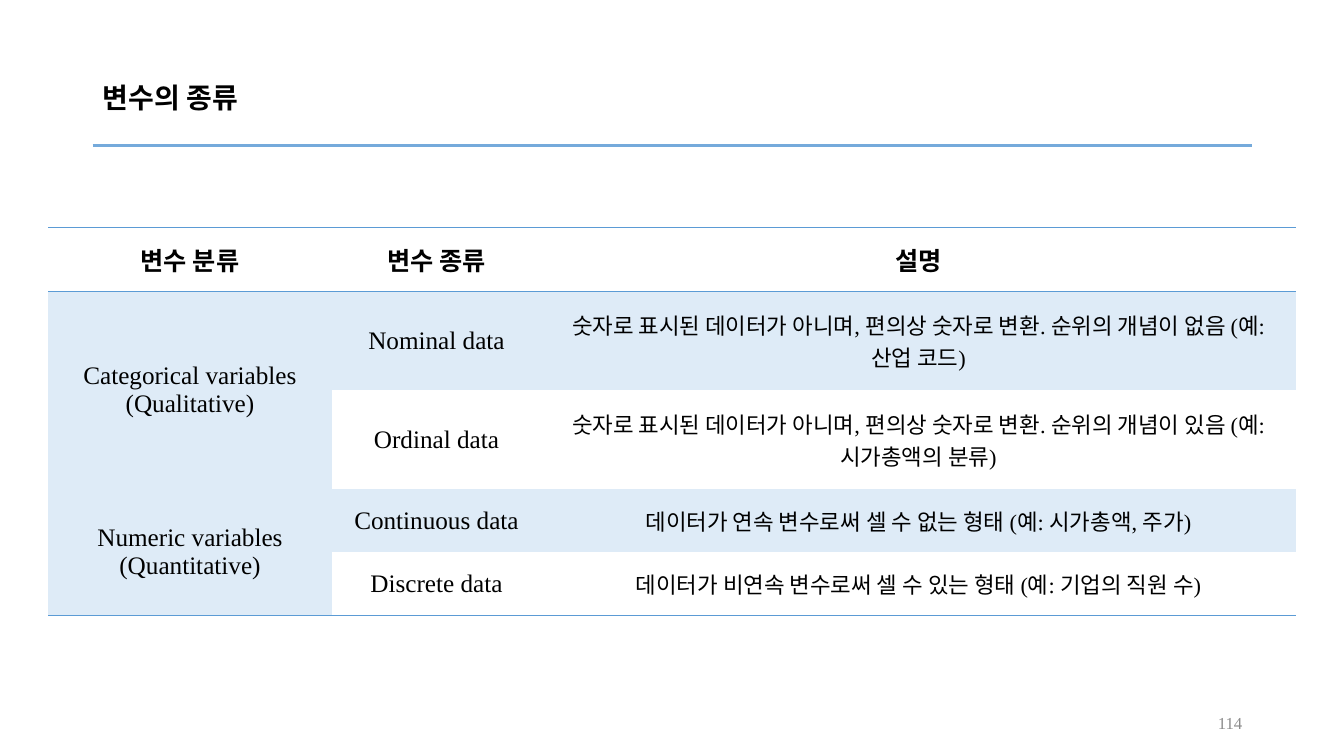
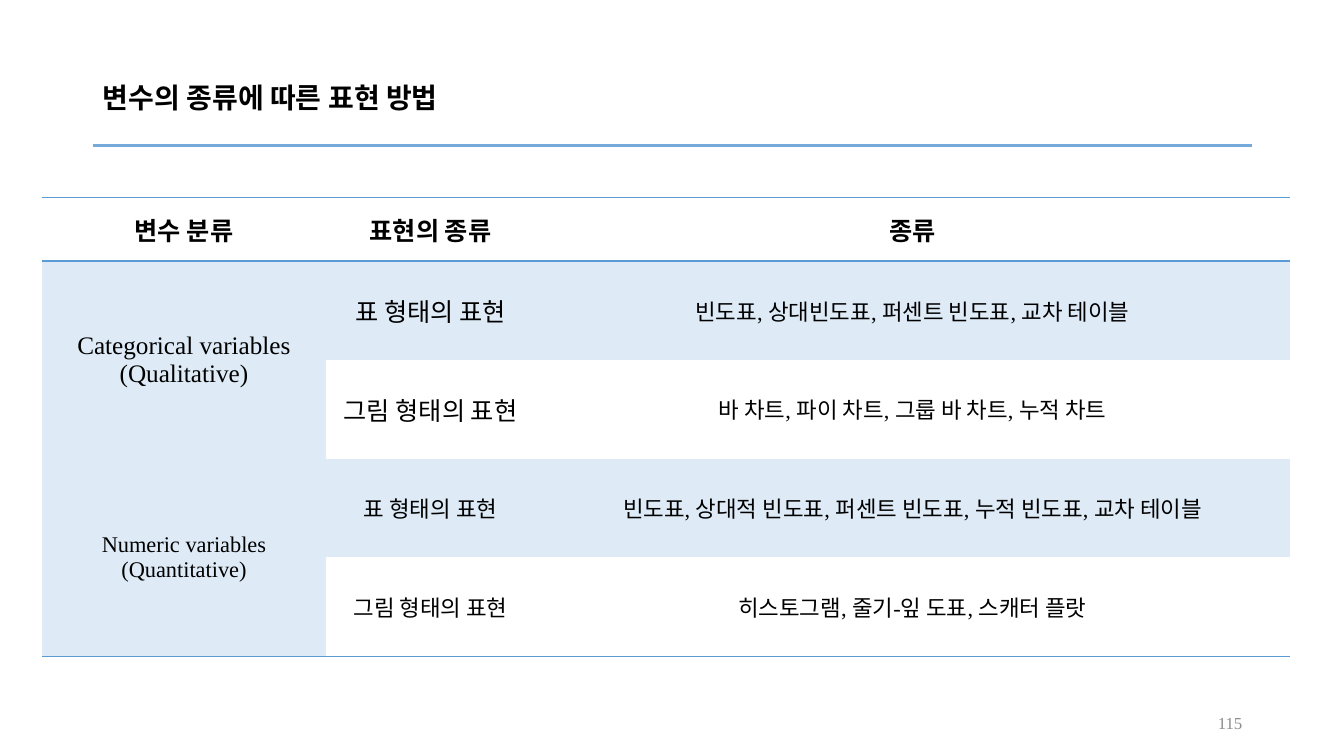
from lxml import etree
from pptx import Presentation
from pptx import util as u
from pptx.dml.color import RGBColor
from pptx.enum import shapes, text
from pptx.oxml import ns

FONT = "Times New Roman"
BLACK, GREY, RULE = "000000", "8C8C8C", "75AADB"
BORDER, BAND = "5B9BD5", "DEEBF7"
NO_STYLE = "{2D5ABB26-0587-4C30-8999-92F81FD0307C}"
LEFT, WIDTH, RULE_TOP = 0.92, 11.5, 1.44
COLUMNS = (2.81, 2.08, 7.48)
LOW, HIGH = 0.63, 0.98
CATEGORICAL = "Categorical variables (Qualitative)"
NUMERIC = "Numeric variables (Quantitative)"


def color(value):
    return RGBColor.from_string(value)


def write(frame, content, size=18, ink=BLACK, bold=False,
          align=text.PP_ALIGN.LEFT, spacing=None):
    para = frame.paragraphs[0]
    para.alignment = align
    if spacing:
        para.line_spacing = spacing
    span = para.add_run()
    span.text = content
    span.font.name = FONT
    span.font.size = u.Pt(size)
    span.font.bold = bold
    span.font.color.rgb = color(ink)


def add_text(page, content, left, top, width, height, **style):
    box = page.shapes.add_textbox(*map(u.Inches, (left, top, width, height)))
    frame = box.text_frame
    frame.word_wrap = True
    frame.vertical_anchor = text.MSO_ANCHOR.MIDDLE
    write(frame, content, spacing=1.25, **style)


def add_rule(page):
    ends = map(u.Inches, (LEFT, RULE_TOP, LEFT + WIDTH, RULE_TOP))
    rule = page.shapes.add_connector(shapes.MSO_CONNECTOR.STRAIGHT, *ends)
    rule.line.color.rgb = color(RULE)
    rule.line.width = u.Pt(2)
    etree.SubElement(rule._element.spPr, ns.qn("a:effectLst"))


def add_page(deck, title, number):
    page = deck.slides.add_slide(deck.slide_layouts[6])
    add_rule(page)
    add_text(page, title, LEFT, 0.4, WIDTH, RULE_TOP - 0.4, size=20, bold=True)
    add_text(page, str(number), 9.42, 6.95, 3, 0.4, size=12, ink=GREY,
             align=text.PP_ALIGN.RIGHT)
    return page


def add_borders(cell, *sides):
    """Draw the given sides, 'T' before 'B', ahead of the cell's fill."""
    properties = cell._tc.get_or_add_tcPr()
    for place, side in enumerate(sides):
        line = etree.Element(ns.qn("a:ln" + side), w=str(u.Pt(1)))
        fill = etree.SubElement(line, ns.qn("a:solidFill"))
        etree.SubElement(fill, ns.qn("a:srgbClr"), val=BORDER)
        properties.insert(place, line)


def fill_cell(cell, content, shaded, **style):
    cell.vertical_anchor = text.MSO_ANCHOR.MIDDLE
    if shaded:
        cell.fill.solid()
        cell.fill.fore_color.rgb = color(BAND)
    else:
        cell.fill.background()
    if content:
        write(cell.text_frame, content, align=text.PP_ALIGN.CENTER, **style)


def add_variable_table(page, left, top, heights, rows, sizes):
    """Header row, then pairs of rows that share a merged first cell."""
    frame = page.shapes.add_table(
        len(rows), len(COLUMNS),
        *map(u.Inches, (left, top, sum(COLUMNS), sum(heights))))
    table = frame.table
    table._tbl.tblPr.find(ns.qn("a:tableStyleId")).text = NO_STYLE
    for column, width in zip(table.columns, COLUMNS):
        column.width = u.Inches(width)
    for row, height in zip(table.rows, heights):
        row.height = u.Inches(height)
    for first in range(1, len(rows), 2):
        table.cell(first, 0).merge(table.cell(first + 1, 0))

    last = len(rows) - 1
    for r, row in enumerate(rows):
        for c, content in enumerate(row):
            cell = table.cell(r, c)
            shaded = r > 0 and (c == 0 or r % 2 == 1)
            fill_cell(cell, content, shaded, size=sizes[r][c], bold=r == 0)
            if r == 0:
                add_borders(cell, "T", "B")
            elif r == last or (c == 0 and r == last - 1):
                add_borders(cell, "B")


def main():
    deck = Presentation()
    deck.slide_width, deck.slide_height = u.Inches(13.33), u.Inches(7.5)
    header, mixed, small = (18,) * 3, (18, 18, 16), (16,) * 3

    page = add_page(deck, "변수의 종류", 114)
    add_variable_table(page, 0.48, 2.26, (LOW, HIGH, HIGH, LOW, LOW), [
        ("변수 분류", "변수 종류", "설명"),
        (CATEGORICAL, "Nominal data",
         "숫자로 표시된 데이터가 아니며, 편의상 숫자로 변환. 순위의 개념이 없음 (예: 산업 코드)"),
        ("", "Ordinal data",
         "숫자로 표시된 데이터가 아니며, 편의상 숫자로 변환. 순위의 개념이 있음 (예: 시가총액의 분류)"),
        (NUMERIC, "Continuous data",
         "데이터가 연속 변수로써 셀 수 없는 형태 (예: 시가총액, 주가)"),
        ("", "Discrete data",
         "데이터가 비연속 변수로써 셀 수 있는 형태 (예: 기업의 직원 수)"),
    ], [header] + [mixed] * 4)

    page = add_page(deck, "변수의 종류에 따른 표현 방법", 115)
    as_table, as_picture = "표 형태의 표현", "그림 형태의 표현"
    add_variable_table(page, 0.42, 1.96, (LOW,) + (HIGH,) * 4, [
        ("변수 분류", "표현의 종류", "종류"),
        (CATEGORICAL, as_table, "빈도표, 상대빈도표, 퍼센트 빈도표, 교차 테이블"),
        ("", as_picture, "바 차트, 파이 차트, 그룹 바 차트, 누적 차트"),
        (NUMERIC, as_table,
         "빈도표, 상대적 빈도표, 퍼센트 빈도표, 누적 빈도표, 교차 테이블"),
        ("", as_picture, "히스토그램, 줄기-잎 도표, 스캐터 플랏"),
    ], [header] + [mixed] * 2 + [small] * 2)

    deck.save("out.pptx")


if __name__ == "__main__":
    main()
